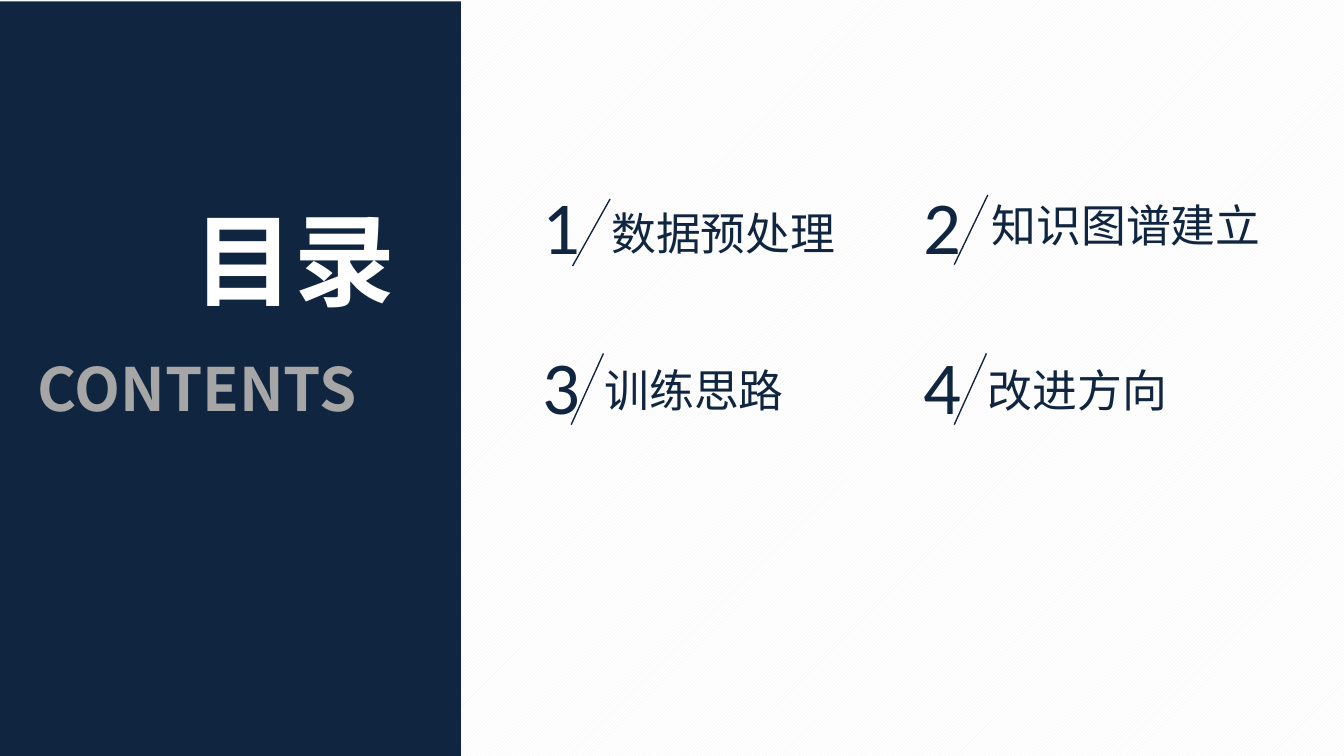
from typing import NamedTuple

from lxml import etree
from pptx import Presentation
from pptx.dml.color import RGBColor
from pptx.enum.dml import MSO_PATTERN
from pptx.enum.shapes import MSO_CONNECTOR, MSO_SHAPE
from pptx.enum.text import MSO_AUTO_SIZE, PP_ALIGN
from pptx.oxml.ns import qn
from pptx.util import Inches, Pt

HATCH = MSO_PATTERN.LIGHT_UPWARD_DIAGONAL
STRAIGHT = MSO_CONNECTOR.STRAIGHT
RECTANGLE = MSO_SHAPE.RECTANGLE
GROW = MSO_AUTO_SIZE.SHAPE_TO_FIT_TEXT
LEFT, CENTER = PP_ALIGN.LEFT, PP_ALIGN.CENTER

NAVY = RGBColor(0x10, 0x25, 0x3F)
GREY = RGBColor(0xA6, 0xA6, 0xA6)
PALE = RGBColor(0xF2, 0xF2, 0xF2)
WHITE = RGBColor(0xFF, 0xFF, 0xFF)

CHINESE_FONT = "Noto Sans CJK SC"
NUMBER_FONT = "Calibri"
PAGE_WIDTH = 10
PAGE_HEIGHT = PAGE_WIDTH * 9 / 16
COLUMNS = (3.93, 6.77)
ROWS = (1.29, 2.48)


class Area(NamedTuple):
    left: float
    top: float
    width: float
    height: float


class Style(NamedTuple):
    size: int
    color: RGBColor
    font: str = CHINESE_FONT
    bold: bool = False
    align: PP_ALIGN = LEFT
    wrap: bool = False


class Topic(NamedTuple):
    title: str
    title_area: Area
    slash_start: tuple[float, float]
    slash_end: tuple[float, float]


TITLE = Style(54, WHITE, bold=True)
SUBTITLE = Style(32, GREY, bold=True, wrap=True)
TOPIC_TITLE = Style(24, NAVY)
TOPIC_NUMBER = Style(40, NAVY, font=NUMBER_FONT, align=CENTER)

TOPICS = (
    Topic("数据预处理", Area(4.45, 1.48, 1.88, 0.5), (4.54, 1.48), (4.26, 1.98)),
    Topic("知识图谱建立", Area(7.28, 1.42, 2.22, 0.5), (7.35, 1.45), (7.1, 1.97)),
    Topic("训练思路", Area(4.4, 2.65, 1.55, 0.5), (4.49, 2.63), (4.25, 3.16)),
    Topic("改进方向", Area(7.25, 2.65, 1.55, 0.5), (7.34, 2.63), (7.1, 3.16)),
)


def add_text(shapes, text: str, area: Area, style: Style) -> None:
    box = shapes.add_textbox(*map(Inches, area))
    frame = box.text_frame
    frame.word_wrap = style.wrap
    frame.auto_size = GROW
    para = frame.paragraphs[0]
    para.text = text
    para.alignment = style.align
    para.font.size = Pt(style.size)
    para.font.bold = style.bold
    para.font.color.rgb = style.color
    para.font.name = style.font
    # East Asian glyphs take their own typeface
    defaults = para._p.pPr.find(qn("a:defRPr"))
    etree.SubElement(defaults, qn("a:ea"), typeface=style.font)


def add_slash(shapes, start: tuple[float, float], end: tuple[float, float]) -> None:
    slash = shapes.add_connector(STRAIGHT, *map(Inches, start + end))
    slash.line.color.rgb = NAVY
    slash.line.width = Pt(0.75)
    etree.SubElement(slash._element.spPr, qn("a:effectLst"))


def add_topic(page, index: int, topic: Topic) -> None:
    row, column = divmod(index, len(COLUMNS))
    add_text(page.shapes, topic.title, topic.title_area, TOPIC_TITLE)
    marker = page.shapes.add_group_shape().shapes
    number_area = Area(COLUMNS[column], ROWS[row], 0.49, 0.77)
    add_text(marker, str(index + 1), number_area, TOPIC_NUMBER)
    add_slash(marker, topic.slash_start, topic.slash_end)


def main() -> None:
    deck = Presentation()
    deck.slide_width, deck.slide_height = Inches(PAGE_WIDTH), Inches(PAGE_HEIGHT)
    page = deck.slides.add_slide(deck.slide_layouts[6])

    # Hatched background
    backdrop = page.background.fill
    backdrop.patterned()
    backdrop.pattern = HATCH
    backdrop.fore_color.rgb = PALE
    backdrop.back_color.rgb = WHITE

    # Side panel with the headings
    panel_area = Area(0, 0.01, 3.43, 5.62)
    panel = page.shapes.add_shape(RECTANGLE, *map(Inches, panel_area))
    panel.shadow.inherit = False
    panel.fill.solid()
    panel.fill.fore_color.rgb = NAVY
    panel.line.fill.background()
    add_text(page.shapes, "CONTENTS", Area(0.18, 2.57, 2.82, 0.64), SUBTITLE)
    add_text(page.shapes, "目录", Area(1.34, 1.42, 1.72, 1.01), TITLE)

    # Numbered topics
    for index, topic in enumerate(TOPICS):
        add_topic(page, index, topic)

    deck.save("out.pptx")


if __name__ == "__main__":
    main()
